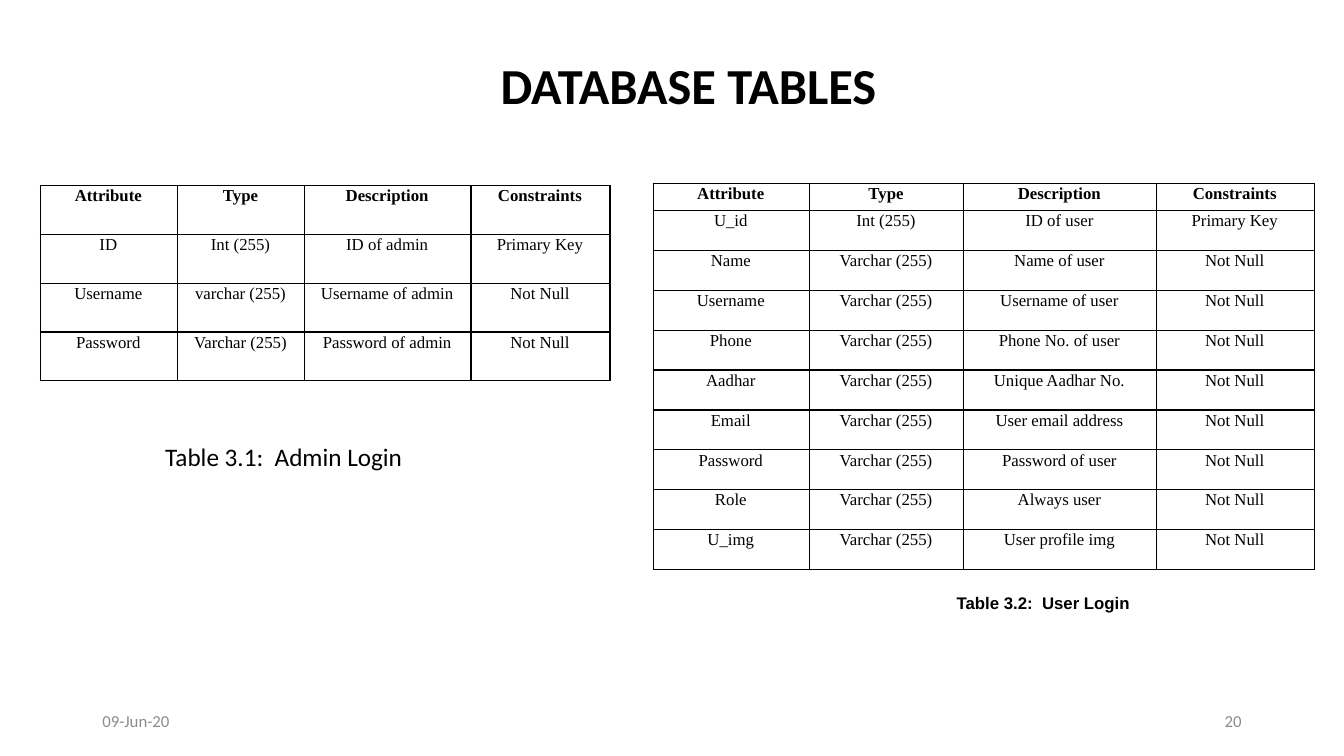
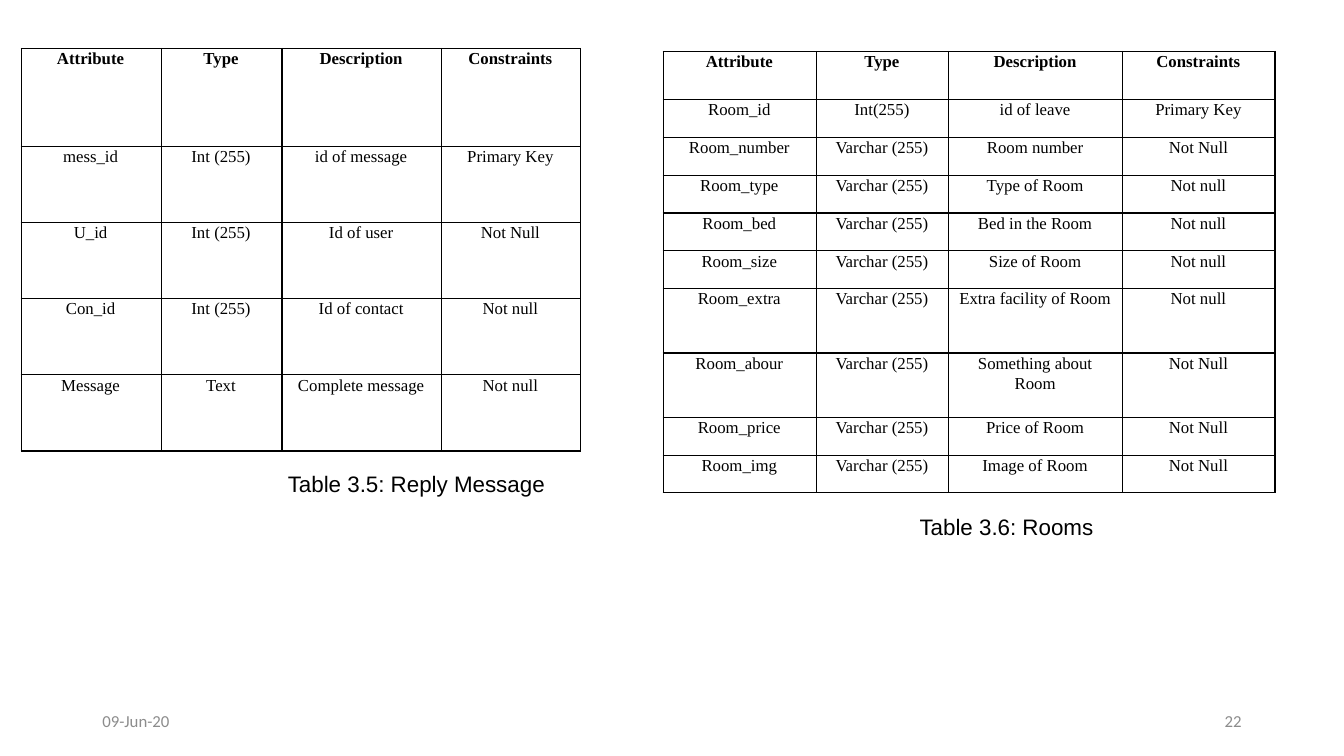
from lxml import etree
from pptx import Presentation
from pptx.dml.color import RGBColor
from pptx.enum import text
from pptx.oxml import ns
from pptx.util import Pt

BLACK = RGBColor(0x00, 0x00, 0x00)
GREY = RGBColor(0x8C, 0x8C, 0x8C)
LEFT, CENTER, RIGHT = text.PP_ALIGN.LEFT, text.PP_ALIGN.CENTER, text.PP_ALIGN.RIGHT
TOP, MIDDLE = text.MSO_ANCHOR.TOP, text.MSO_ANCHOR.MIDDLE

DATE = "09-Jun-20"
HEADER = ("Attribute", "Type", "Description", "Constraints")

ADMIN = {
    "at": (28.8, 132.5),
    "columns": (98, 90.8, 118.8, 99.4),
    "heights": [34.9] * 4,
    "rows": [
        ("ID", "Int (255)", "ID of admin", "Primary Key"),
        ("Username", "varchar (255)", "Username of admin", "Not Null"),
        ("Password", "Varchar (255)", "Password of admin", "Not Null"),
    ],
    "caption": ("Table 3.1:  Admin Login", (110.9, 311.8, 188.6, 28.8),
                {"size": 18, "font": "Calibri"}),
}
USER = {
    "at": (466.6, 131),
    "columns": (111.6, 110.2, 137.5, 113),
    "heights": [19.4] + [28.5] * 9,
    "rows": [
        ("U_id", "Int (255)", "ID of user", "Primary Key"),
        ("Name", "Varchar (255)", "Name of user", "Not Null"),
        ("Username", "Varchar (255)", "Username of user", "Not Null"),
        ("Phone", "Varchar (255)", "Phone No. of user", "Not Null"),
        ("Aadhar", "Varchar (255)", "Unique Aadhar No.", "Not Null"),
        ("Email", "Varchar (255)", "User email address", "Not Null"),
        ("Password", "Varchar (255)", "Password of user", "Not Null"),
        ("Role", "Varchar (255)", "Always user", "Not Null"),
        ("U_img", "Varchar (255)", "User profile img", "Not Null"),
    ],
    "caption": ("Table 3.2:  User Login", (625, 419.8, 240.5, 21.6),
                {"size": 12, "font": "Arial", "bold": True,
                 "align": CENTER, "anchor": MIDDLE}),
}
REPLY = {
    "at": (15.1, 34.6),
    "columns": (100, 86.4, 113.8, 99.4),
    "heights": [70] + [54.4] * 4,
    "rows": [
        ("mess_id", "Int (255)", "id of message", "Primary Key"),
        ("U_id", "Int (255)", "Id of user", "Not Null"),
        ("Con_id", "Int (255)", "Id of contact", "Not null"),
        ("Message", "Text", "Complete message", "Not null"),
    ],
    "caption": ("Table 3.5: Reply Message", (198.5, 332, 202, 26.6),
                {"size": 16, "font": "Arial", "anchor": MIDDLE}),
}
ROOMS = {
    "at": (473.8, 36.7),
    "columns": (109.4, 94.3, 124.6, 108.7),
    "heights": [34.5] + [27] * 5 + [46] * 2 + [27] * 2,
    "rows": [
        ("Room_id", "Int(255)", "id of leave", "Primary Key"),
        ("Room_number", "Varchar (255)", "Room number", "Not Null"),
        ("Room_type", "Varchar (255)", "Type of Room", "Not null"),
        ("Room_bed", "Varchar (255)", "Bed in the Room", "Not null"),
        ("Room_size", "Varchar (255)", "Size of Room", "Not null"),
        ("Room_extra", "Varchar (255)", "Extra facility of Room", "Not null"),
        ("Room_abour", "Varchar (255)", "Something about Room", "Not Null"),
        ("Room_price", "Varchar (255)", "Price of Room", "Not Null"),
        ("Room_img", "Varchar (255)", "Image of Room", "Not Null"),
    ],
    "caption": ("Table 3.6: Rooms", (562.3, 363, 313.2, 26.6),
                {"size": 16, "font": "Arial", "align": CENTER, "anchor": MIDDLE}),
}
PAGES = [
    {"title": "DATABASE TABLES", "number": "20", "tables": (ADMIN, USER)},
    {"title": None, "number": "22", "tables": (REPLY, ROOMS)},
]


def write(para, words, size, font, color=BLACK, bold=False, align=LEFT):
    para.alignment = align
    span = para.add_run()
    span.text = words
    span.font.size = Pt(size)
    span.font.name = font
    span.font.bold = bold
    span.font.color.rgb = color


def add_text(page, words, place, anchor=TOP, **style):
    frame = page.shapes.add_textbox(*map(Pt, place)).text_frame
    frame.word_wrap = True
    frame.vertical_anchor = anchor
    write(frame.paragraphs[0], words, **style)


def add_borders(cell):
    properties = cell._tc.get_or_add_tcPr()
    for index, side in enumerate(("lnL", "lnR", "lnT", "lnB")):
        line = etree.Element(ns.qn(f"a:{side}"), w=str(Pt(1)))
        fill = etree.SubElement(line, ns.qn("a:solidFill"))
        etree.SubElement(fill, ns.qn("a:srgbClr"), val=str(BLACK))
        properties.insert(index, line)


def fill_cell(cell, words, bold):
    cell.fill.background()
    add_borders(cell)
    cell.margin_left, cell.margin_right = Pt(5), Pt(5.8)
    cell.margin_top = cell.margin_bottom = Pt(0)
    para = cell.text_frame.paragraphs[0]
    para.line_spacing = 1.07
    write(para, words, 12, "Times New Roman", bold=bold, align=CENTER)


def add_schema(page, schema):
    rows = [HEADER] + schema["rows"]
    widths, heights = schema["columns"], schema["heights"]
    place = (*schema["at"], sum(widths), sum(heights))
    table = page.shapes.add_table(len(rows), len(HEADER), *map(Pt, place)).table
    table.first_row = table.horz_banding = False
    for column, width in zip(table.columns, widths):
        column.width = Pt(width)
    for r, (row, height) in enumerate(zip(rows, heights)):
        table.rows[r].height = Pt(height)
        for c, words in enumerate(row):
            fill_cell(table.cell(r, c), words, bold=r == 0)
    caption, place, style = schema["caption"]
    add_text(page, caption, place, **style)


def add_footer(page, number):
    for words, left, align in ((DATE, 66, LEFT), (number, 678, RIGHT)):
        add_text(page, words, (left, 500.4, 216, 28.8), anchor=MIDDLE,
                 size=12, font="Calibri", color=GREY, align=align)


def main():
    deck = Presentation()
    deck.slide_width, deck.slide_height = Pt(960), Pt(540)
    for content in PAGES:
        page = deck.slides.add_slide(deck.slide_layouts[6])
        add_footer(page, content["number"])
        if content["title"]:
            add_text(page, content["title"], (350.6, 35.3, 425.6, 51),
                     size=36, font="Calibri", bold=True)
        for schema in content["tables"]:
            add_schema(page, schema)
    deck.save("out.pptx")


if __name__ == "__main__":
    main()
